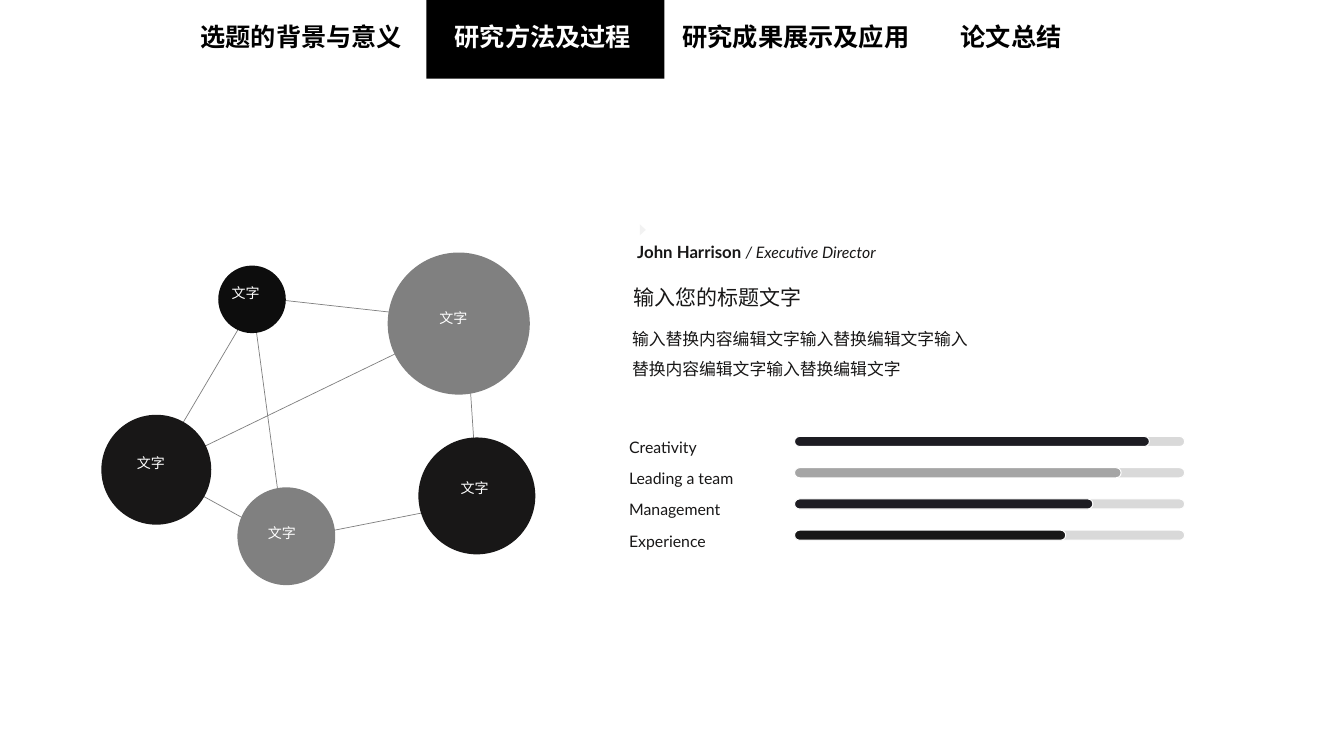
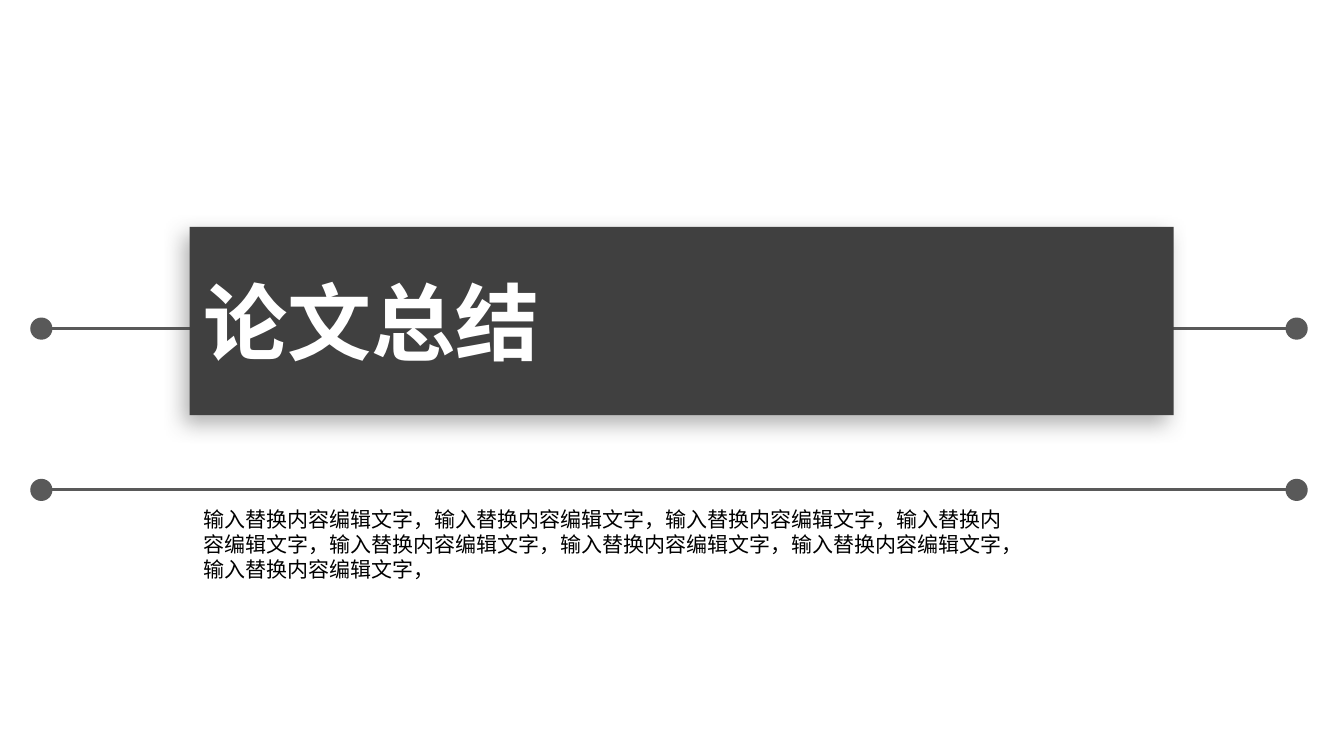
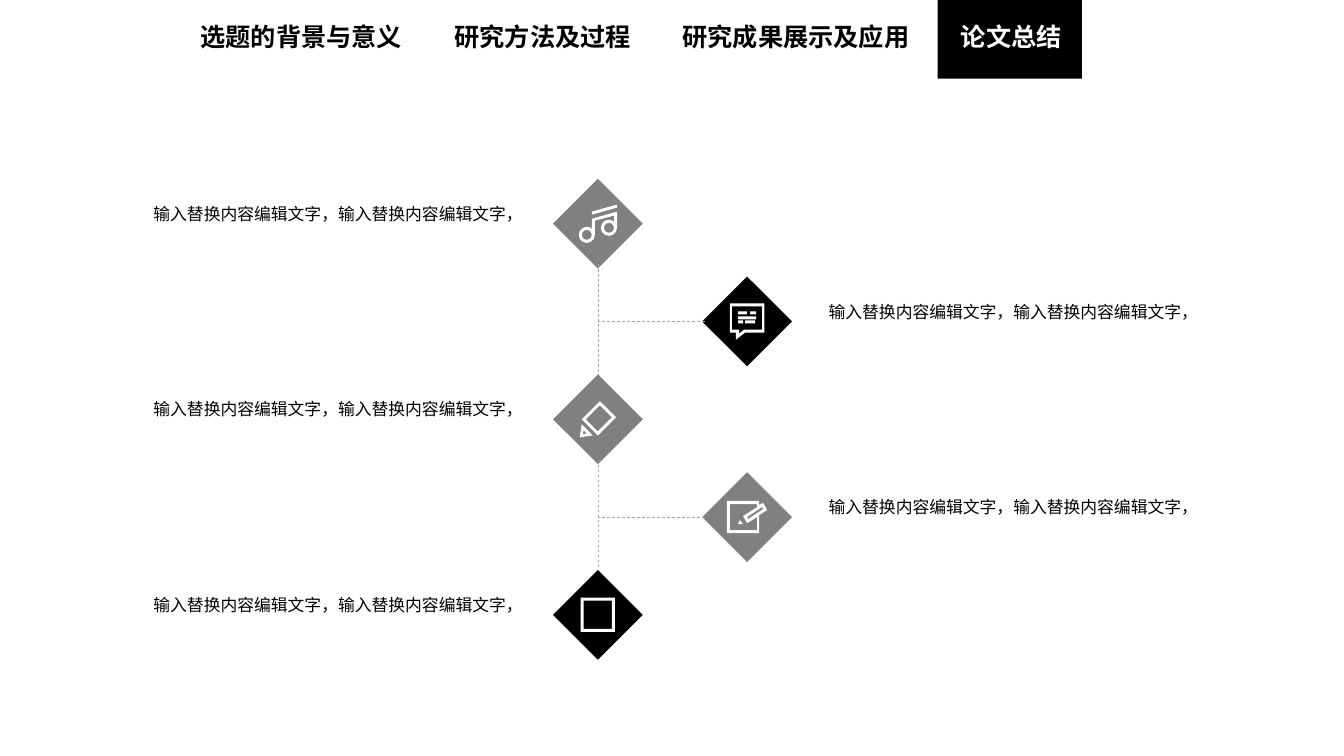
from dataclasses import dataclass

from lxml import etree
from pptx import Presentation
from pptx.dml.color import RGBColor
from pptx.enum.dml import MSO_LINE
from pptx.enum.shapes import MSO_CONNECTOR, MSO_SHAPE
from pptx.enum.text import MSO_ANCHOR, MSO_AUTO_SIZE, PP_ALIGN
from pptx.oxml.ns import qn
from pptx.util import Inches, Pt


@dataclass(frozen=True)
class Theme:
    cjk: str = "Noto Sans CJK SC"
    latin: str = "Lato"
    black: str = "000000"
    white: str = "FFFFFF"
    ink: str = "181717"
    near_black: str = "0D0D0D"
    violet_black: str = "1D1C22"
    panel: str = "404040"
    rail: str = "595959"
    gray: str = "808080"
    silver: str = "A5A5A5"
    dash: str = "A6A6A6"
    track: str = "D9D9D9"
    pale: str = "F2F2F2"
    cover_size: float = 60
    tab_size: float = 18
    lead_size: float = 15
    text_size: float = 12
    skill_size: float = 11.3
    node_size: float = 10


THEME = Theme()

# Content: navigation tabs as (text, left, width)
TABS = [
    ("选题的背景与意义", 1.89, 2.24),
    ("研究方法及过程", 4.41, 1.97),
    ("研究成果展示及应用", 6.67, 2.47),
    ("论文总结", 9.43, 1.21),
]

# Content: network slide
NODE_TEXT = "文字"
# centre x, centre y, diameter, colour, label left, label top
NODES = [
    (1.55, 4.66, 1.09, THEME.ink, 1.26, 4.46),
    (4.55, 3.21, 1.41, THEME.gray, 4.26, 3.02),
    (2.50, 2.97, 0.67, THEME.near_black, 2.20, 2.77),
    (2.84, 5.32, 0.97, THEME.gray, 2.56, 5.15),
    (4.73, 4.92, 1.16, THEME.ink, 4.47, 4.71),
]
NETWORK_RING = [(1.54, 4.66), (2.55, 2.95), (4.62, 3.18), (4.74, 4.98), (2.81, 5.36)]
NETWORK_LINKS = [((2.5, 2.97), (2.84, 5.5)), ((1.55, 4.66), (4.54, 3.21))]
PERSON, ROLE = "John Harrison ", "/ Executive Director"
PROFILE_HEADING = "输入您的标题文字"
PROFILE_TEXT = "输入替换内容编辑文字输入替换编辑文字" * 2
# label, filled length, colour
SKILLS = [
    ("Creativity", 3.52, THEME.violet_black),
    ("Leading a team", 3.24, THEME.silver),
    ("Management", 2.96, THEME.violet_black),
    ("Experience", 2.69, THEME.ink),
]

# Content: section and timeline slides
SECTION_TITLE = "论文总结"
PHRASE = "输入替换内容编辑文字，"

# Icon outlines in hundredths of an inch from the diamond's centre:
# outlines are lists of contours, bars are (left, top, width, height),
# rings are (centre x, centre y, radius)
MUSIC = {
    "outlines": [
        [[(-6, 5), (-6, -5), (19, -12), (19, 5), (16, 5), (16, -8), (-3, -3), (-3, 11), (-6, 11)]],
        [[(-6, -12), (-6, -9), (19, -16), (19, -19)]],
    ],
    "rings": [(-11, 11, 8), (11, 4, 8)],
}
SPEECH = {
    "outlines": [[
        [(-17, -18), (-17, 11), (-11, 11), (-11, 18), (-2, 11), (17, 11), (17, -18)],
        [(15, 8), (-3, 8), (-8, 12), (-8, 8), (-15, 8), (-15, -15), (15, -15)],
    ]],
    "bars": [(-9, -5, 18, 3), (-9, -1, 5, 3), (-2, -1, 10, 3), (-9, -10, 9, 3), (3, -10, 6, 3)],
}
PENCIL = {
    "outlines": [
        [[(2, -18), (-16, 0), (0, 16), (18, -2)], [(-12, 0), (2, -14), (14, -2), (0, 12)]],
        [[(-18, 18), (-5, 16), (-16, 5)], [(-14, 11), (-11, 14), (-15, 15)]],
    ],
}
EDIT = {
    "outlines": [
        [
            [(20, -7), (16, -14), (12, -12), (12, -16), (-20, -16), (-20, 16), (12, 16), (12, -2)],
            [(16, -8), (1, 2), (0, 0), (15, -10)],
            [(10, 13), (-17, 13), (-17, -13), (10, -13), (10, -10), (-4, -1), (0, 6), (10, 0)],
        ],
        [[(-7, 3), (-9, 7), (-4, 7)]],
    ],
}
SQUARE = {
    "outlines": [[
        [(-17, -17), (17, -17), (17, 17), (-17, 17)],
        [(-14, -14), (-14, 14), (14, 14), (14, -14)],
    ]],
}
# icon, diamond colour; steps alternate left and right
STEPS = [
    (MUSIC, THEME.gray),
    (SPEECH, THEME.black),
    (PENCIL, THEME.gray),
    (EDIT, THEME.gray),
    (SQUARE, THEME.black),
]


# Shared drawing helpers
def rgb(color):
    return RGBColor.from_string(color)


def style_shape(shape, fill=None, line=None, weight=0.75):
    shape.shadow.inherit = False
    if fill:
        shape.fill.solid()
        shape.fill.fore_color.rgb = rgb(fill)
    else:
        shape.fill.background()
    if line:
        shape.line.color.rgb = rgb(line)
        shape.line.width = Pt(weight)
    else:
        shape.line.fill.background()
    return shape


def add_block(slide, kind, left, top, width, height, fill, line=None):
    shape = slide.shapes.add_shape(
        kind, Inches(left), Inches(top), Inches(width), Inches(height))
    return style_shape(shape, fill, line)


def add_circle(slide, x, y, diameter, fill):
    return add_block(slide, MSO_SHAPE.OVAL, x - diameter / 2, y - diameter / 2,
                     diameter, diameter, fill)


def add_line(slide, start, end, color, weight, dash=None):
    line = slide.shapes.add_connector(
        MSO_CONNECTOR.STRAIGHT, *[Inches(value) for value in (*start, *end)])
    line.line.color.rgb = rgb(color)
    line.line.width = Pt(weight)
    if dash:
        line.line.dash_style = dash
    etree.SubElement(line.element.spPr, qn("a:effectLst"))


def add_outline(slide, contours, fill=None, line=None, weight=0.75):
    contours = [[(Inches(x), Inches(y)) for x, y in contour] for contour in contours]
    builder = slide.shapes.build_freeform(*contours[0][0], scale=1.0)
    for index, contour in enumerate(contours):
        if index:
            builder.move_to(*contour[0])
        builder.add_line_segments(contour[1:], close=True)
    return style_shape(builder.convert_to_shape(), fill, line, weight)


def fill_text(shape, text, size, color, font=THEME.cjk, bold=False, align=PP_ALIGN.LEFT,
              spacing=None, after=None, inset=None, wrap=True):
    """Put one paragraph in a box; text is a string or a list of run texts."""
    frame = shape.text_frame
    frame.word_wrap = wrap
    frame.auto_size = MSO_AUTO_SIZE.NONE
    frame.vertical_anchor = MSO_ANCHOR.TOP
    if inset is not None:
        frame.margin_left = frame.margin_right = Inches(inset)
        frame.margin_top = frame.margin_bottom = Inches(inset)
    paragraph = frame.paragraphs[0]
    for part in [text] if isinstance(text, str) else text:
        paragraph.add_run().text = part
    paragraph.alignment = align
    paragraph.space_before = Pt(0)
    if spacing:
        paragraph.line_spacing = spacing
    if after:
        paragraph.space_after = Pt(after)
    paragraph.font.size = Pt(size)
    paragraph.font.bold = bold
    paragraph.font.color.rgb = rgb(color)
    paragraph.font.name = font
    properties = paragraph._p.pPr.find(qn("a:defRPr"))
    etree.SubElement(properties, qn("a:ea")).set("typeface", THEME.cjk)
    return paragraph


def place(shape, left, top, width, height):
    shape.left, shape.top = Inches(left), Inches(top)
    shape.width, shape.height = Inches(width), Inches(height)


def add_text(slide, left, top, width, height, text, size, color, **options):
    box = slide.shapes.add_textbox(
        Inches(left), Inches(top), Inches(width), Inches(height))
    return fill_text(box, text, size, color, **options)


def bring_to_front(shape):
    shape.element.getparent().append(shape.element)


def add_tabs(slide, active, block_left, block_width):
    """Navigation row; the active tab is the slide title."""
    add_block(slide, MSO_SHAPE.RECTANGLE, block_left, 0, block_width, 0.78, THEME.black)
    for index, (text, left, width) in enumerate(TABS):
        box = (left, 0.16, width, 0.4)
        if index == active:
            title = slide.shapes.title
            place(title, *box)
            fill_text(title, text, THEME.tab_size, THEME.white, bold=True, wrap=False)
            bring_to_front(title)
        else:
            add_text(slide, *box, text, THEME.tab_size, THEME.black, bold=True, wrap=False)


# Slides
def build_network(presentation):
    slide = presentation.slides.add_slide(presentation.slide_layouts[5])
    add_tabs(slide, 1, 4.23, 2.36)

    # Linked circles
    for start, end in NETWORK_LINKS:
        add_line(slide, start, end, THEME.gray, 0.5)
    add_outline(slide, [NETWORK_RING], line=THEME.gray, weight=0.5)
    for x, y, diameter, color, label_left, label_top in NODES:
        add_circle(slide, x, y, diameter, color)
        add_text(slide, label_left, label_top, 0.67, 0.37, NODE_TEXT,
                 THEME.node_size, THEME.white)

    # Profile
    add_block(slide, MSO_SHAPE.ISOSCELES_TRIANGLE, 6.32, 2.25, 0.11, 0.06,
              THEME.pale).rotation = 90
    skill_style = dict(font=THEME.latin, align=PP_ALIGN.JUSTIFY, spacing=Pt(17.3),
                       after=16, inset=0)
    paragraph = add_text(slide, 6.32, 2.36, 3.05, 0.29, [PERSON, ROLE],
                         THEME.skill_size, THEME.ink, **skill_style)
    person, role = paragraph.runs
    person.font.bold, person.font.size = True, Pt(THEME.text_size)
    role.font.italic = True
    add_text(slide, 6.28, 2.82, 2.66, 0.31, PROFILE_HEADING, THEME.lead_size, THEME.ink,
             font=THEME.latin, inset=0)
    add_text(slide, 6.17, 3.11, 3.61, 0.67, PROFILE_TEXT, THEME.text_size, THEME.ink,
             spacing=1.5)

    # Skill bars
    for index, (label, length, color) in enumerate(SKILLS):
        top = 4.29 + 0.31 * index
        add_text(slide, 6.24, top, 1.37, 0.21, label, THEME.skill_size, THEME.ink,
                 **skill_style)
        for width, fill in ((3.87, THEME.track), (length, color)):
            bar = add_block(slide, MSO_SHAPE.ROUNDED_RECTANGLE, 7.88, top + 0.04,
                            width, 0.1, fill, THEME.white)
            bar.adjustments[0] = 0.5


def build_section(presentation):
    slide = presentation.slides.add_slide(presentation.slide_layouts[1])

    # Rails with end dots
    for y in (3.26, 4.86):
        add_line(slide, (0.52, y), (12.75, y), THEME.rail, 2.25)
        for x in (0.41, 12.86):
            add_circle(slide, x, y, 0.22, THEME.rail)

    # Title panel with a soft shadow
    panel = add_block(slide, MSO_SHAPE.RECTANGLE, 1.88, 2.25, 9.76, 1.87, THEME.panel)
    effects = panel.element.spPr.find(qn("a:effectLst"))
    shadow = etree.SubElement(effects, qn("a:outerShdw"), blurRad=str(Pt(15)),
                              dist=str(Pt(7)), dir=str(135 * 60000), rotWithShape="0")
    shade = etree.SubElement(shadow, qn("a:srgbClr"), val=THEME.panel)
    etree.SubElement(shade, qn("a:alpha"), val="40000")

    title = slide.shapes.title
    place(title, 1.92, 2.63, 7.85, 1.11)
    fill_text(title, SECTION_TITLE, THEME.cover_size, THEME.white, bold=True)
    bring_to_front(title)

    # Summary without a bullet
    body = slide.placeholders[1]
    place(body, 1.92, 4.97, 8.25, 0.86)
    properties = body.text_frame.paragraphs[0]._p.get_or_add_pPr()
    properties.set("marL", "0")
    properties.set("indent", "0")
    etree.SubElement(properties, qn("a:buNone"))
    fill_text(body, PHRASE * 8, THEME.lead_size, THEME.black)


def add_icon(slide, icon, x, y):
    for contours in icon["outlines"]:
        add_outline(slide, [[(x + dx / 100, y + dy / 100) for dx, dy in contour]
                            for contour in contours], THEME.white)
    for left, top, width, height in icon.get("bars", []):
        add_block(slide, MSO_SHAPE.RECTANGLE, x + left / 100, y + top / 100,
                  width / 100, height / 100, THEME.white)
    for dx, dy, radius in icon.get("rings", []):
        ring = add_block(slide, MSO_SHAPE.DONUT, x + (dx - radius) / 100,
                         y + (dy - radius) / 100, radius / 50, radius / 50, THEME.white)
        ring.adjustments[0] = 0.19


def build_timeline(presentation):
    slide = presentation.slides.add_slide(presentation.slide_layouts[5])
    add_tabs(slide, 3, 9.3, 1.43)
    left_x, right_x, first_y, step, side = 5.93, 7.41, 2.22, 0.97, 0.63

    for index, (icon, color) in enumerate(STEPS):
        on_left = index % 2 == 0
        x, y = left_x if on_left else right_x, first_y + step * index
        diamond = add_block(slide, MSO_SHAPE.RECTANGLE, x - side / 2, y - side / 2,
                            side, side, color)
        diamond.rotation = 45
        add_icon(slide, icon, x, y)
        add_text(slide, 1.34 if on_left else 8.12, y - 0.35, 3.78, 0.7, PHRASE * 2,
                 THEME.text_size, THEME.black, spacing=1.5,
                 align=PP_ALIGN.RIGHT if on_left else PP_ALIGN.LEFT)

        # Each right-hand step carries its branch and the trunk beside it
        if not on_left:
            reach = step - 0.4
            for start, end in (((left_x, y - reach), (left_x, y + reach)),
                               ((right_x - 0.42, y), (left_x, y))):
                add_line(slide, start, end, THEME.dash, 0.5, MSO_LINE.DASH)


def main():
    presentation = Presentation()
    presentation.slide_width, presentation.slide_height = Inches(13.33), Inches(7.5)
    build_network(presentation)
    build_section(presentation)
    build_timeline(presentation)
    presentation.save("out.pptx")


if __name__ == "__main__":
    main()
